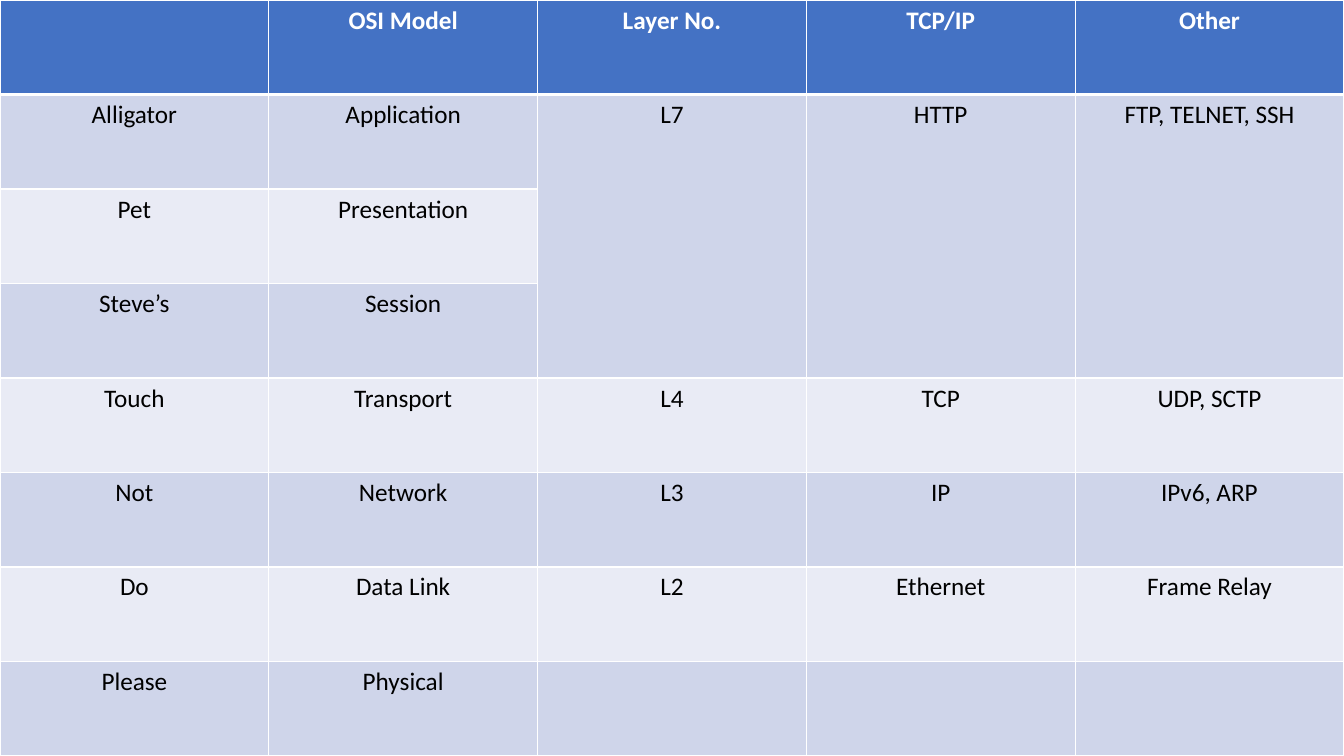
from dataclasses import dataclass

from lxml import etree
from pptx import Presentation
from pptx.dml.color import RGBColor
from pptx.enum.text import PP_ALIGN
from pptx.oxml.ns import qn
from pptx.util import Pt

CENTER = PP_ALIGN.CENTER
EMU_PER_PIXEL = 914400 / 100.8
PAGE_WIDTH, PAGE_HEIGHT = 1344, 756
BLANK_LAYOUT = 6

HEADINGS = ["", "OSI Model", "Layer No.", "TCP/IP", "Other"]
LAYERS = [
    ["Alligator", "Application", "L7", "HTTP", "FTP, TELNET, SSH"],
    ["Pet", "Presentation", "", "", ""],
    ["Steve’s", "Session", "", "", ""],
    ["Touch", "Transport", "L4", "TCP", "UDP, SCTP"],
    ["Not", "Network", "L3", "IP", "IPv6, ARP"],
    ["Do", "Data Link", "L2", "Ethernet", "Frame Relay"],
    ["Please", "Physical", "", "", ""],
]
# Application, Presentation and Session share one cell in the last three columns.
SHARED_CELLS = [(1, 3, column) for column in (2, 3, 4)]


@dataclass(frozen=True)
class Theme:
    """Colours, type and line widths of the slide."""
    font: str = "Calibri"
    size: int = 18
    header_fill: str = "4472C4"
    header_text: str = "FFFFFF"
    body_text: str = "000000"
    bands: tuple = ("CFD5EA", "E9EBF5")
    border: str = "FFFFFF"
    thin: int = 1
    thick: int = 3


def emu(pixels):
    """Turn pixels into EMU."""
    return round(pixels * EMU_PER_PIXEL)


def write_text(frame, text, *, font, size, color, bold=False, align=CENTER):
    """Put one formatted paragraph into a text frame."""
    para = frame.paragraphs[0]
    para.alignment = align
    para.font.size = Pt(size)
    if text:
        span = para.add_run()
        span.text = text
        span.font.name = font
        span.font.size = Pt(size)
        span.font.bold = bold
        span.font.color.rgb = RGBColor.from_string(color)


def set_borders(cell, color, **widths):
    """Draw cell borders, given widths in points by side letter."""
    properties = cell._tc.get_or_add_tcPr()
    for side in "LRTB":
        line = etree.SubElement(properties, qn(f"a:ln{side}"), w=str(Pt(widths[side])))
        fill = etree.SubElement(line, qn("a:solidFill"))
        etree.SubElement(fill, qn("a:srgbClr"), val=color)


class SlideBuilder:
    """Holds the theme and the current slide."""

    def __init__(self, page, theme):
        """Keep the slide and its style."""
        self.page = page
        self.theme = theme

    def add_table(self, rows, left, top, width, height, shared=()):
        """Add a banded table of equal columns and rows under a header row."""
        frame = self.page.shapes.add_table(
            len(rows), len(rows[0]), emu(left), emu(top), emu(width), emu(height))
        table = frame.table
        for column in table.columns:
            column.width = emu(width / len(rows[0]))
        for row in table.rows:
            row.height = emu(height / len(rows))
        for row_index, texts in enumerate(rows):
            for column_index, text in enumerate(texts):
                self.format_cell(table.cell(row_index, column_index), text, row_index)
        for first, last, column in shared:
            table.cell(first, column).merge(table.cell(last, column))

    def format_cell(self, cell, text, row_index):
        """Style one cell as header or band and write its text."""
        theme = self.theme
        header = row_index == 0
        set_borders(
            cell, theme.border, L=theme.thin, R=theme.thin,
            T=theme.thick if row_index == 1 else theme.thin,
            B=theme.thick if header else theme.thin)
        fill = theme.header_fill if header else theme.bands[(row_index - 1) % 2]
        cell.fill.solid()
        cell.fill.fore_color.rgb = RGBColor.from_string(fill)
        write_text(
            cell.text_frame, text, font=theme.font, size=theme.size, bold=header,
            color=theme.header_text if header else theme.body_text)


def main():
    """Build the slide and save the deck."""
    deck = Presentation()
    deck.slide_width, deck.slide_height = emu(PAGE_WIDTH), emu(PAGE_HEIGHT)
    page = deck.slides.add_slide(deck.slide_layouts[BLANK_LAYOUT])
    builder = SlideBuilder(page, Theme())
    builder.add_table([HEADINGS, *LAYERS], 0, 0, PAGE_WIDTH, PAGE_HEIGHT, SHARED_CELLS)
    deck.save("out.pptx")


main()
